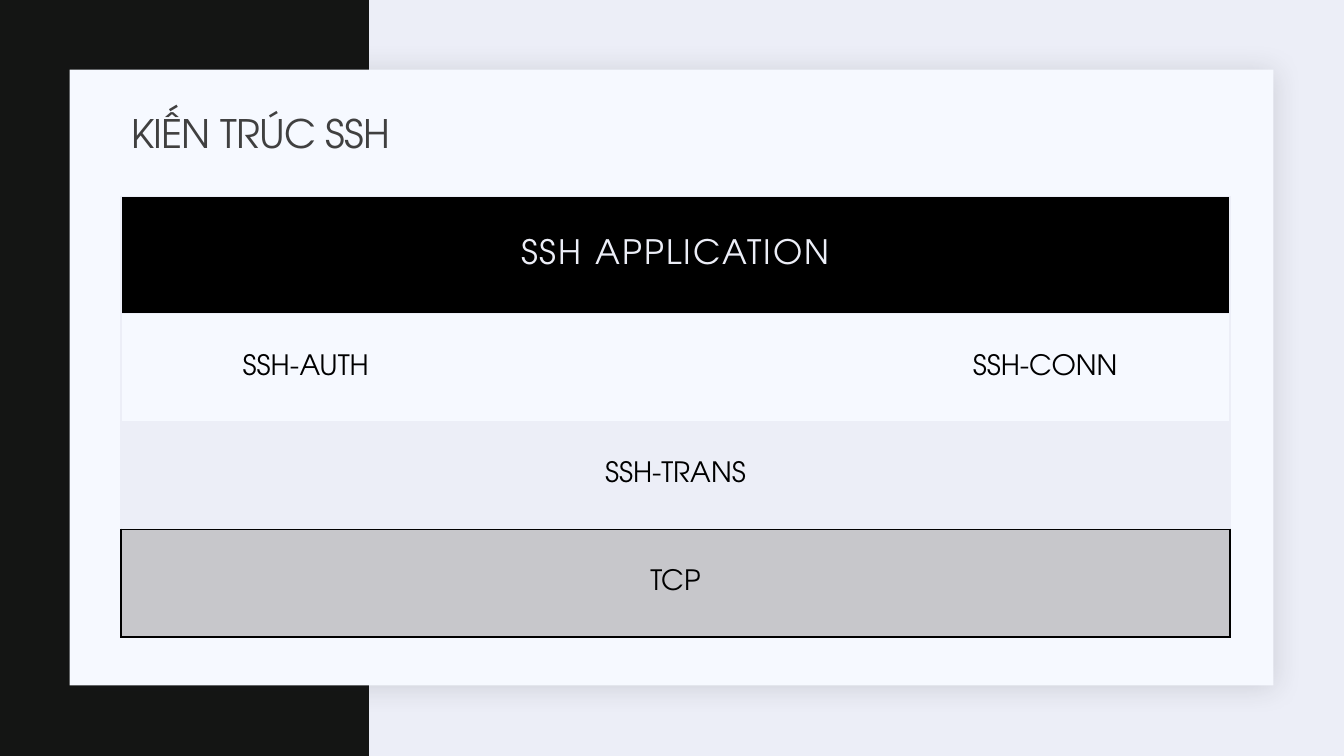
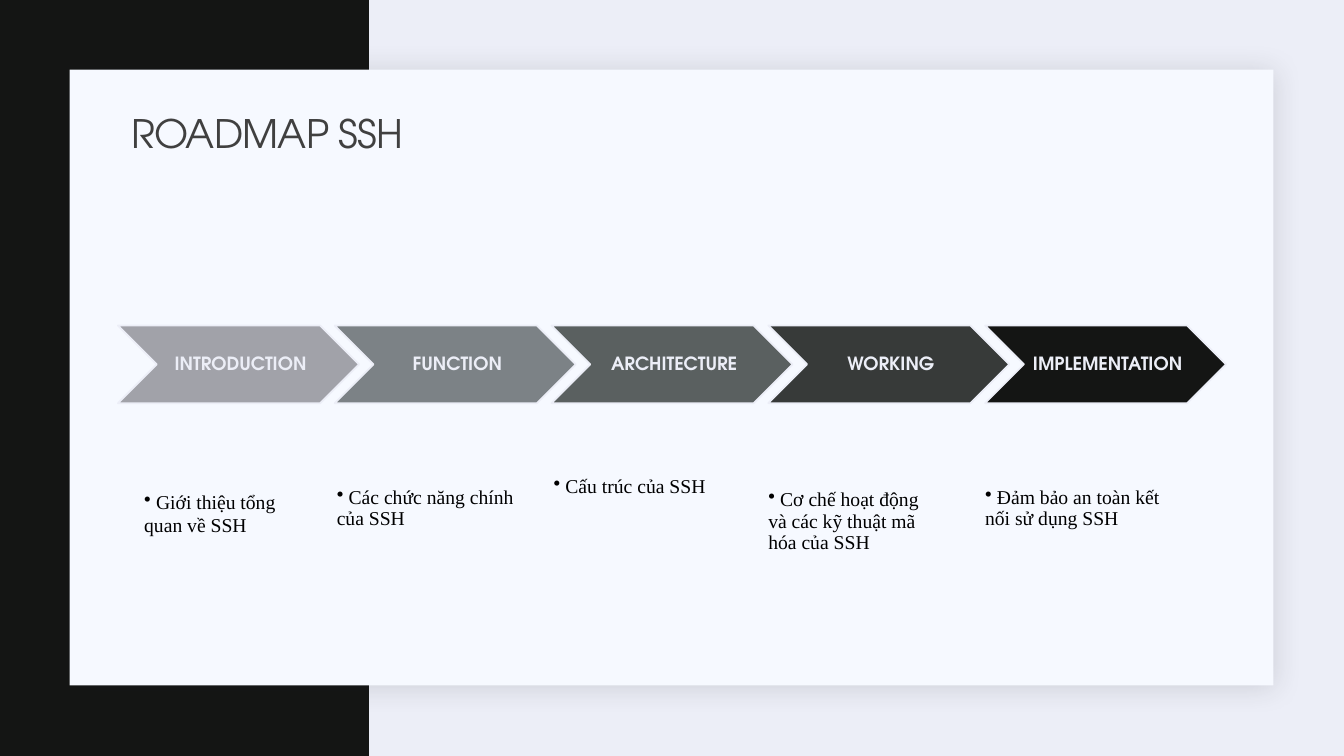
from lxml.etree import SubElement
from pptx import Presentation
from pptx.dml.color import RGBColor
from pptx.enum.shapes import MSO_SHAPE
from pptx.enum.text import MSO_ANCHOR, MSO_AUTO_SIZE, PP_ALIGN
from pptx.oxml import parse_xml
from pptx.oxml.ns import nsdecls, qn
from pptx.util import Inches, Pt

COLORS = {
    "pale": "ECEEF7",
    "panel": "F6F9FF",
    "band": "141514",
    "shadow": "1F2125",
    "title": "404040",
    "black": "000000",
    "silver": "C7C7CB",
}
HEADING_FONT = "TeX Gyre Adventor"
FONTS = {
    "title": {"name": HEADING_FONT, "size": Pt(28), "bold": False},
    "header": {"name": HEADING_FONT, "size": Pt(24), "bold": False},
    "layer": {"name": HEADING_FONT, "size": Pt(20), "bold": False},
    "stage": {"name": HEADING_FONT, "size": Pt(13), "bold": True},
    "caption": {"name": "Times New Roman", "size": Pt(14), "bold": False},
}
CELL_FORMAT = {
    "margin_left": Inches(0.25),
    "margin_right": Inches(0.25),
    "margin_top": Inches(0.25),
    "margin_bottom": Inches(0.25),
    "vertical_anchor": MSO_ANCHOR.MIDDLE,
}
STAGE_FORMAT = {
    "margin_left": Inches(0.06),
    "margin_right": Inches(0.02),
    "margin_top": Inches(0.02),
    "margin_bottom": Inches(0.02),
    "vertical_anchor": MSO_ANCHOR.MIDDLE,
    "word_wrap": True,
}
CAPTION_FORMAT = {
    "margin_left": 0,
    "margin_top": Inches(0.47),
    "margin_bottom": 0,
    "vertical_anchor": MSO_ANCHOR.TOP,
    "word_wrap": True,
}


def apply_format(target, values):
    for name, value in values.items():
        setattr(target, name, value)


def write_text(frame, text, font, color, align, line_spacing=1.0, tracking=0):
    paragraph = frame.paragraphs[0]
    paragraph.alignment = align
    paragraph.line_spacing = line_spacing
    run = paragraph.add_run()
    run.text = text
    apply_format(run.font, FONTS[font])
    run.font.color.rgb = RGBColor.from_string(color)
    run._r.get_or_add_rPr().set("spc", str(tracking))
    return paragraph


prs = Presentation()
prs.slide_width = Inches(13.33)
prs.slide_height = Inches(7.5)

layout = prs.slide_layouts[5]
layout.background.fill.solid()
layout.background.fill.fore_color.rgb = RGBColor.from_string(COLORS["pale"])
for placeholder in list(layout.placeholders):
    if placeholder.placeholder_format.idx == 0:
        apply_format(placeholder, {
            "left": Inches(1.2), "top": Inches(1.03),
            "width": Inches(11), "height": Inches(0.64),
        })
    else:
        layout.shapes.element.remove(placeholder.element)

slides = []
for heading in ("KIẾN TRÚC SSH", "ROADMAP SSH"):
    slide = prs.slides.add_slide(layout)
    title_frame = slide.shapes.title.text_frame
    title_frame.auto_size = MSO_AUTO_SIZE.NONE
    title_frame.vertical_anchor = MSO_ANCHOR.MIDDLE
    write_text(title_frame, heading, "title", COLORS["title"], PP_ALIGN.LEFT, 0.9, -50)
    slides.append(slide)
architecture, roadmap = slides

backdrop = [
    ("band", 0, 0, 3.66, 7.5),
    ("panel", 0.69, 0.69, 11.94, 6.11),
]
for position, (color, *box) in enumerate(backdrop, start=2):
    area = architecture.shapes.add_shape(MSO_SHAPE.RECTANGLE, *map(Inches, box))
    area.shadow.inherit = False
    area.fill.solid()
    area.fill.fore_color.rgb = RGBColor.from_string(COLORS[color])
    area.line.fill.background()
    if color == "panel":
        area.element.spPr.find(qn("a:effectLst")).append(parse_xml(
            f'<a:outerShdw {nsdecls("a")} blurRad="{Pt(20)}" dist="{Pt(2)}" '
            f'dir="2700000" algn="tl" rotWithShape="0">'
            f'<a:srgbClr val="{COLORS["shadow"]}"><a:alpha val="15000"/></a:srgbClr>'
            f'</a:outerShdw>'
        ))
    layout.shapes.element.insert(position, area.element)

layers = [
    (("", "SSH APPLICATION", ""), "black", "pale", "pale", "pale"),
    (("SSH-AUTH", "", "SSH-CONN"), "panel", "pale", "pale", "pale"),
    (("", "SSH-TRANS", ""), "pale", "pale", "pale", "black"),
    (("", "TCP", ""), "silver", "black", "black", "black"),
]
stack = architecture.shapes.add_table(
    len(layers), 3, Inches(1.2), Inches(1.95), Inches(11), Inches(4.37)
).table
stack.first_row = False
stack.horz_banding = False
for row, (labels, fill, side, top, bottom) in enumerate(layers):
    stack.rows[row].height = Inches(1.07 if row else 1.16)
    for column, label in enumerate(labels):
        cell = stack.cell(row, column)
        apply_format(cell, CELL_FORMAT)
        cell.fill.solid()
        cell.fill.fore_color.rgb = RGBColor.from_string(COLORS[fill])
        if label:
            font, color, tracking = ("layer", "black", 0) if row else ("header", "pale", 150)
            write_text(cell.text_frame, label, font, COLORS[color],
                       PP_ALIGN.CENTER, tracking=tracking)
        borders = {
            "lnL": side if column == 0 else None,
            "lnR": side if column == 2 else None,
            "lnT": top,
            "lnB": bottom,
        }
        for order, (edge, color) in enumerate(borders.items()):
            paint = (f'<a:solidFill><a:srgbClr val="{COLORS[color]}"/></a:solidFill>'
                     if color else "<a:noFill/>")
            cell._tc.get_or_add_tcPr().insert(order, parse_xml(
                f'<a:{edge} {nsdecls("a")} w="{Pt(1)}">{paint}</a:{edge}>'
            ))

stages = [
    ("INTRODUCTION", "A1A2A9", " Giới thiệu tổng quan về SSH", 0.26, 0.2, 1.0),
    ("FUNCTION", "7C8286", " Các chức năng chính của SSH", 0.02, 0, 0.9),
    ("ARCHITECTURE", "5A6060", " Cấu trúc của SSH", 0.02, 0.2, 0.9),
    ("WORKING", "373A39", " Cơ chế hoạt động và các kỹ thuật mã hóa của SSH", 0, 0.2, 0.9),
    ("IMPLEMENTATION", COLORS["band"], " Đảm bảo an toàn kết nối sử dụng SSH", 0, 0, 0.9),
]
for index, (name, fill, summary, offset, right_margin, spacing) in enumerate(stages):
    left = 1.17 + index * 2.15
    chevron = roadmap.shapes.add_shape(
        MSO_SHAPE.CHEVRON, Inches(left), Inches(3.23), Inches(2.39), Inches(0.77)
    )
    chevron.shadow.inherit = False
    chevron.fill.solid()
    chevron.fill.fore_color.rgb = RGBColor.from_string(fill)
    chevron.line.color.rgb = RGBColor.from_string(COLORS["pale"])
    chevron.line.width = Pt(1.25)
    apply_format(chevron.text_frame, STAGE_FORMAT)
    write_text(chevron.text_frame, name, "stage", COLORS["pale"], PP_ALIGN.CENTER, 0.9)

    caption = roadmap.shapes.add_textbox(
        Inches(left + offset), Inches(4.39), Inches(1.91), Inches(1.1)
    ).text_frame
    apply_format(caption, CAPTION_FORMAT)
    caption.margin_right = Inches(right_margin)
    bullet = write_text(caption, summary, "caption", COLORS["black"], PP_ALIGN.LEFT, spacing)
    SubElement(bullet._p.get_or_add_pPr(), qn("a:buChar"), char="•")

prs.save("out.pptx")
